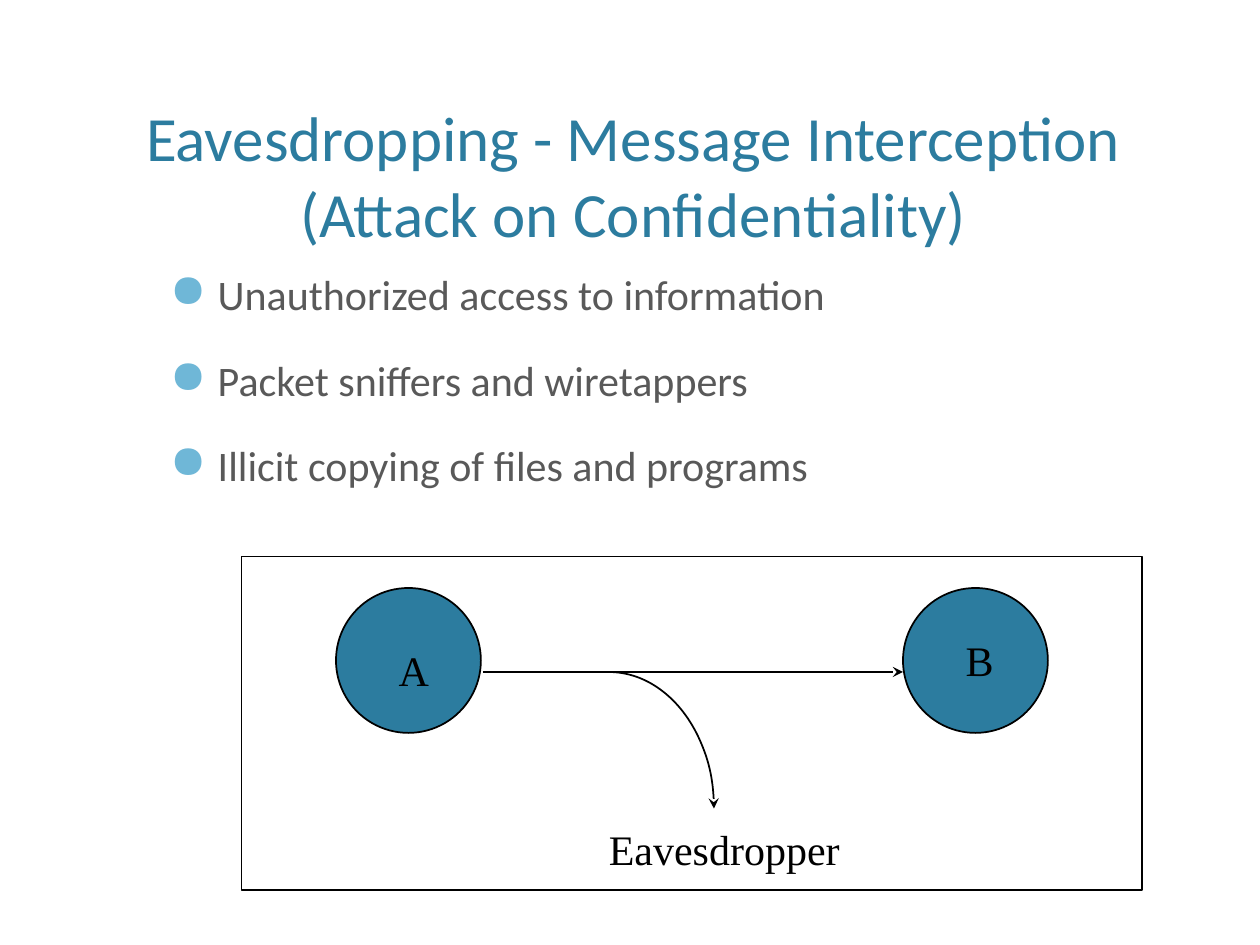
from lxml import etree
from pptx import Presentation
from pptx.dml.color import RGBColor
from pptx.enum.shapes import MSO_CONNECTOR, MSO_SHAPE
from pptx.enum.text import MSO_ANCHOR, PP_ALIGN
from pptx.oxml.ns import qn
from pptx.util import Inches, Pt

RECT, OVAL, ARC = MSO_SHAPE.RECTANGLE, MSO_SHAPE.OVAL, MSO_SHAPE.ARC
STRAIGHT = MSO_CONNECTOR.STRAIGHT
BOTTOM, CENTER = MSO_ANCHOR.BOTTOM, PP_ALIGN.CENTER
TEAL = RGBColor(0x2C, 0x7C, 0x9F)
GRAY = RGBColor(0x59, 0x59, 0x59)
BLACK = RGBColor(0, 0, 0)
WHITE = RGBColor(255, 255, 255)
UNIT = Inches(1) / 12  # grid of 120 columns by 90 rows


def grid(*cells):
    return [round(cell * UNIT) for cell in cells]


def write(box, lines, font, size, color):
    """Fill a text box with one paragraph per line and return its frame."""
    frame = box.text_frame
    frame.text = "\n".join(lines)
    for para in frame.paragraphs:
        para.font.name, para.font.size = font, Pt(size)
        para.font.color.rgb = color
    return frame


deck = Presentation()
deck.slide_width, deck.slide_height = grid(120, 90)
slide = deck.slides.add_slide(deck.slide_layouts[6])
shapes = slide.shapes

# Title
title = write(shapes.add_textbox(*grid(5, 4, 110.6, 20.4)),
              ["Eavesdropping - Message Interception (Attack on Confidentiality)"],
              "Calibri", 36, TEAL)
title.word_wrap = True
title.vertical_anchor = BOTTOM
title.paragraphs[0].alignment = CENTER

# Bullets
body = shapes.add_textbox(*grid(15, 25, 102, 26))
points = ["Unauthorized access to information",
          "Packet sniffers and wiretappers",
          "Illicit copying of files and programs"]
frame = write(body, points, "Calibri", 24, GRAY)
frame.word_wrap = True
for row, para in enumerate(frame.paragraphs):
    para.space_before = Pt(20 if row else 0)
    props = para._p.get_or_add_pPr()
    props.set("marL", str(Inches(0.38)))
    props.set("indent", str(-Inches(0.38)))
    marks = [etree.Element(qn("a:buClr")),
             etree.Element(qn("a:buSzPct"), val="110000"),
             etree.Element(qn("a:buChar"), char="●")]
    etree.SubElement(marks[0], qn("a:srgbClr"), val="6FB7D7")
    spot = props.index(props.find(qn("a:defRPr")))
    props[spot:spot] = marks

# Frame and the two parties
for kind, cells, fill in [(RECT, (23, 53, 85.8, 31.8), WHITE),
                          (OVAL, (32, 56, 13.8, 13.8), TEAL),
                          (OVAL, (86, 56, 13.8, 13.8), TEAL)]:
    shape = shapes.add_shape(kind, *grid(*cells))
    shape.shadow.inherit = False
    shape.fill.solid()
    shape.fill.fore_color.rgb = fill
    shape.line.color.rgb = BLACK
    shape.line.width = Pt(1)

# Message arrow and the branch to the eavesdropper
wire = shapes.add_connector(STRAIGHT, *grid(46, 64, 86, 64))
etree.SubElement(wire._element.spPr, qn("a:effectLst"))
tap = shapes.add_shape(ARC, *grid(48, 64, 20, 26))
tap.shadow.inherit = False
tap.fill.background()
for arrow in (wire, tap):
    arrow.line.color.rgb = BLACK
    arrow.line.width = Pt(1)
    etree.SubElement(arrow.line._get_or_add_ln(), qn("a:tailEnd"), type="stealth")

# Labels
for name, cells in [("A", (36.8, 60.8, 5.3, 6)),
                    ("B", (90.8, 59.8, 5.1, 6)),
                    ("Eavesdropper", (56.8, 77.8, 24.4, 6))]:
    label = shapes.add_textbox(*grid(*cells))
    write(label, [name], "Times New Roman", 24, BLACK).word_wrap = False

deck.save("out.pptx")
